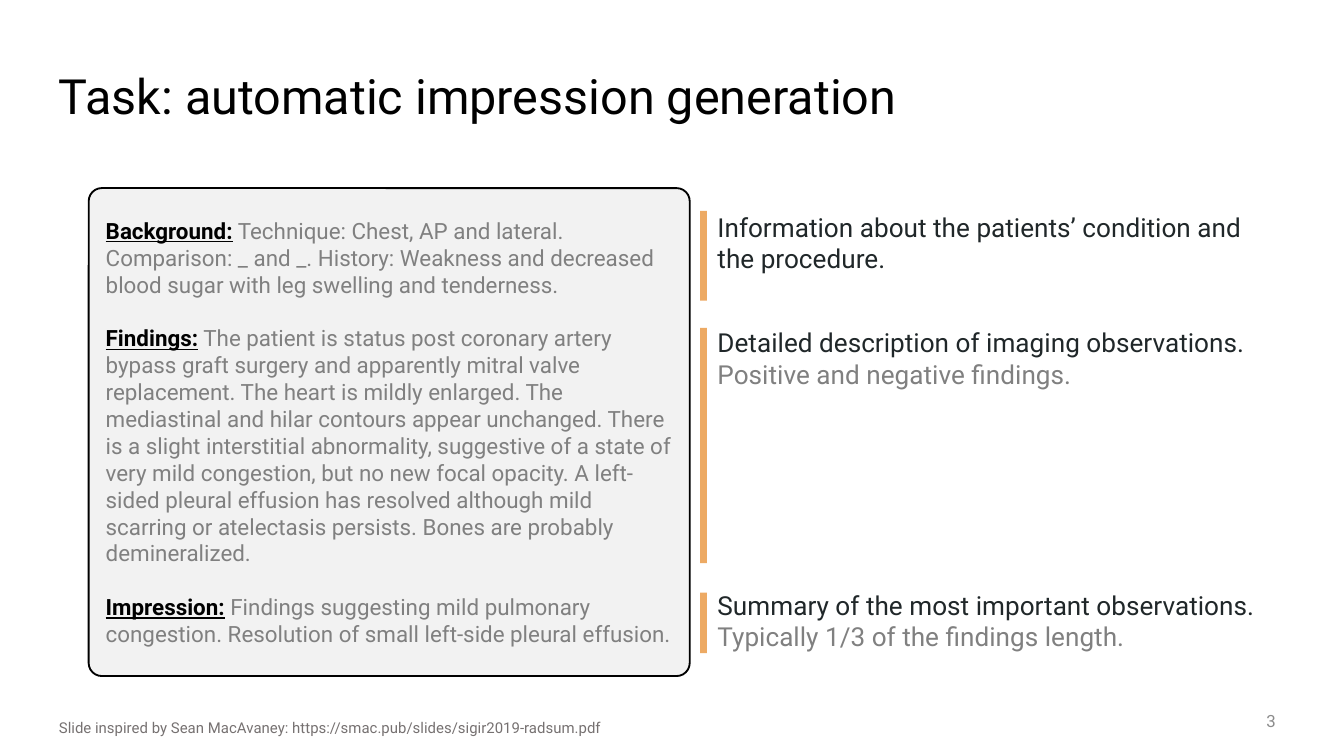
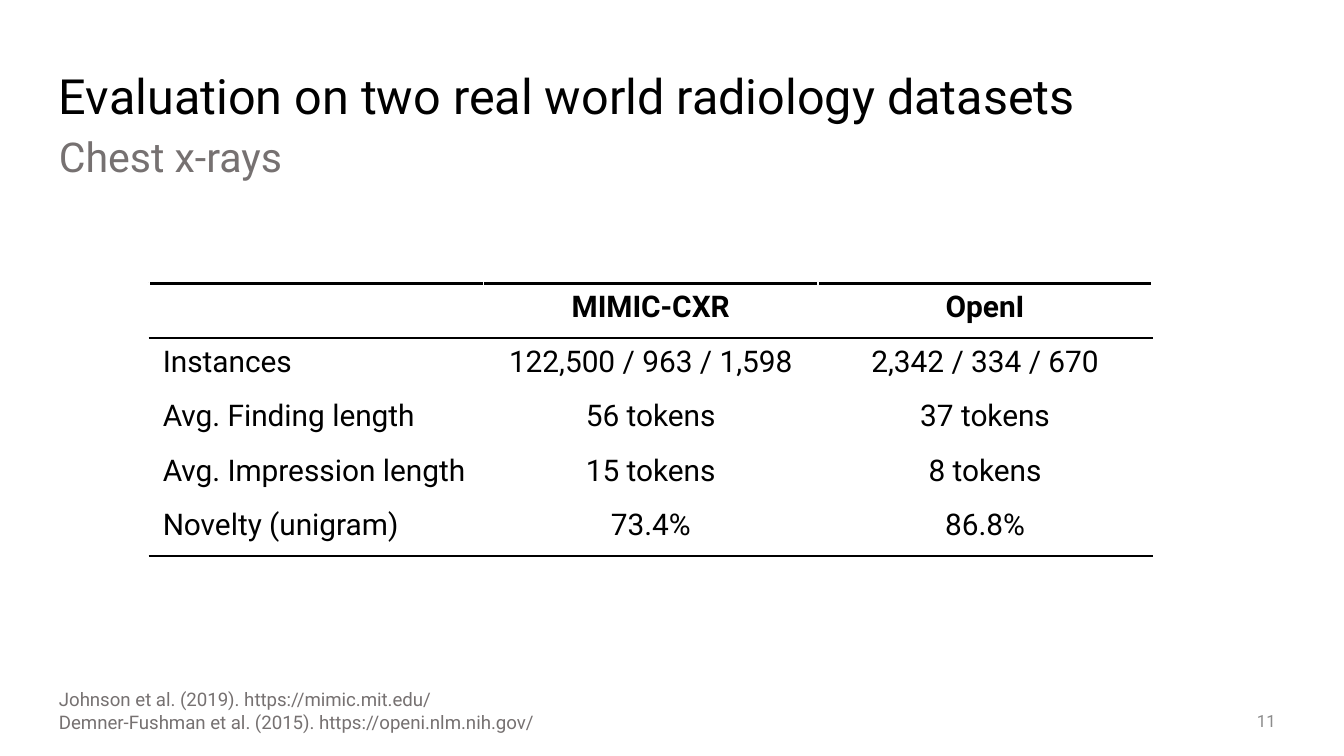
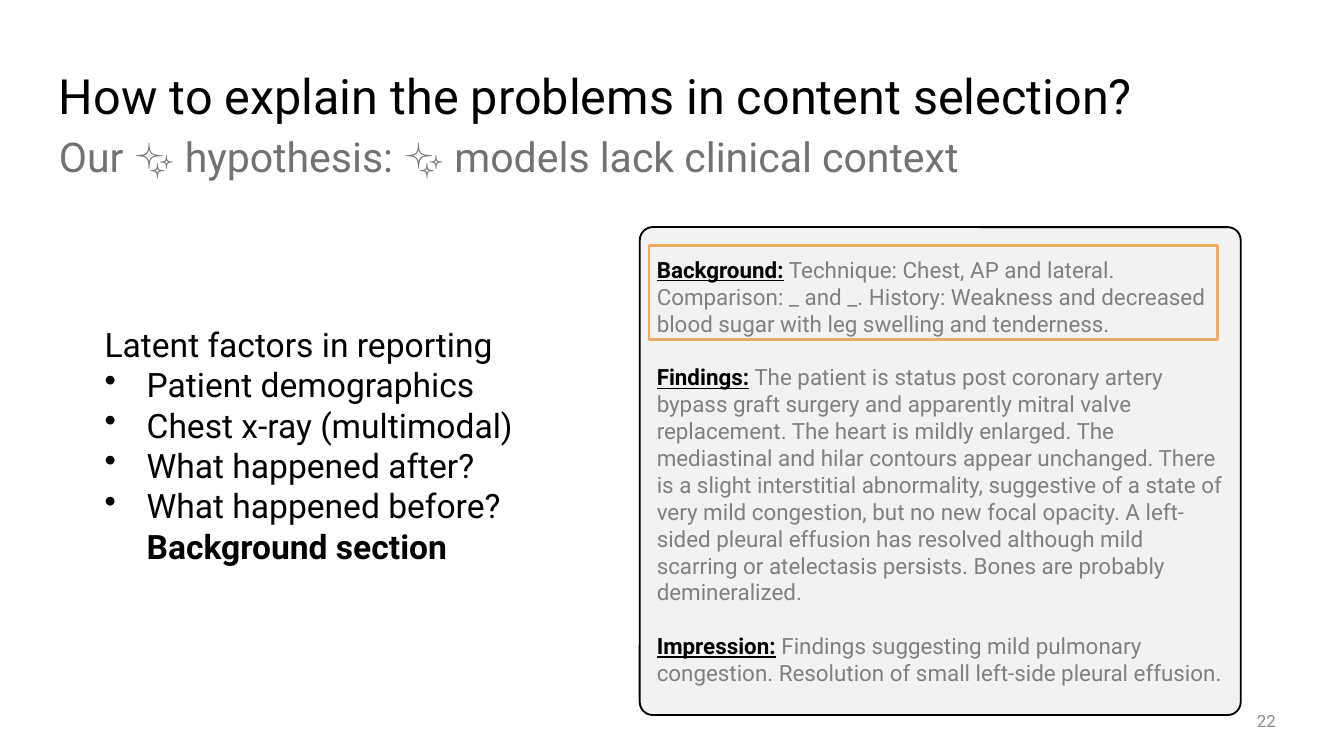
from lxml import etree
from pptx import Presentation
from pptx.dml.color import RGBColor
from pptx.enum.shapes import MSO_SHAPE
from pptx.enum.text import MSO_ANCHOR, PP_ALIGN
from pptx.oxml.ns import qn
from pptx.util import Pt

RECTANGLE = MSO_SHAPE.RECTANGLE
ROUNDED = MSO_SHAPE.ROUNDED_RECTANGLE
TOP, MIDDLE = MSO_ANCHOR.TOP, MSO_ANCHOR.MIDDLE
LEFT, CENTER, RIGHT = PP_ALIGN.LEFT, PP_ALIGN.CENTER, PP_ALIGN.RIGHT

FONT = "Roboto"
COLORS = {
    "black": "000000",
    "white": "FFFFFF",
    "ink": "202729",
    "muted": "808080",
    "caption": "767171",
    "number": "8C8C8C",
    "card": "F2F2F2",
    "accent": "EDAA64",
}

TITLE_BOX = (24.5, 35.3, 666, 32.4)
SUBTITLE_BOX = (24.5, 67, 666, 31.7)
NUMBER_BOX = (528.5, 375.1, 162, 21.6)
REPORT_SIZE = (322, 261.4)

REPORT = [
    ("Background:", "Technique: Chest, AP and lateral. Comparison: _ and _. History: "
     "Weakness and decreased blood sugar with leg swelling and tenderness."),
    ("Findings:", "The patient is status post coronary artery bypass graft surgery and "
     "apparently mitral valve replacement. The heart is mildly enlarged. The mediastinal "
     "and hilar contours appear unchanged. There is a slight interstitial abnormality, "
     "suggestive of a state of very mild congestion, but no new focal opacity. A left-sided "
     "pleural effusion has resolved although mild scarring or atelectasis persists. Bones "
     "are probably demineralized."),
    ("Impression:", "Findings suggesting mild pulmonary congestion. Resolution of small "
     "left-side pleural effusion."),
]

NOTES = [
    (113, 48.2, 0, [[("Information about the patients’ condition and the procedure.", "ink")]]),
    (175.7, 126, -0.7, [[("Detailed description of imaging observations. ", "ink"),
                         ("Positive and negative findings.", "muted")]]),
    (317.5, 32.4, -2, [[("Summary of the most important observations.", "ink")],
                       [("Typically 1/3 of the findings length.", "muted")]]),
]

DATASETS = [
    ("", "MIMIC-CXR", "OpenI"),
    ("Instances", "122,500 / 963 / 1,598", "2,342 / 334 / 670"),
    ("Avg. Finding length", "56 tokens", "37 tokens"),
    ("Avg. Impression length", "15 tokens", "8 tokens"),
    ("Novelty (unigram)", "73.4%", "86.8%"),
]

FACTORS = ["Patient demographics", "Chest x-ray (multimodal)", "What happened after?"]


def rgb(name):
    return RGBColor.from_string(COLORS[name])


def points(box):
    return [Pt(length) for length in box]


def add_run(paragraph, text, size, color, bold=False, underline=False):
    run = paragraph.add_run()
    run.text = text
    font = run.font
    font.name, font.size, font.bold = FONT, Pt(size), bold
    font.color.rgb = rgb(color)
    if underline:
        font.underline = True


def write(frame, paragraphs, size, align=LEFT, anchor=TOP, gap=0):
    frame.word_wrap = True
    frame.vertical_anchor = anchor
    for index, runs in enumerate(paragraphs):
        paragraph = frame.add_paragraph() if index else frame.paragraphs[0]
        paragraph.alignment = align
        if index and gap:
            paragraph.space_before = Pt(gap)
        for run in runs:
            add_run(paragraph, run[0], size, *run[1:])


def add_text(slide, box, paragraphs, size, **layout):
    frame = slide.shapes.add_textbox(*points(box)).text_frame
    write(frame, paragraphs, size, **layout)
    return frame


def add_block(slide, kind, box, fill=None, line=None, width=1):
    block = slide.shapes.add_shape(kind, *points(box))
    block.shadow.inherit = False
    if fill:
        block.fill.solid()
        block.fill.fore_color.rgb = rgb(fill)
    else:
        block.fill.background()
    if line:
        block.line.color.rgb = rgb(line)
        block.line.width = Pt(width)
    else:
        block.line.fill.background()
    return block


def add_page(deck, number, title, subtitle=None):
    slide = deck.slides.add_slide(deck.slide_layouts[6])
    heading = add_text(slide, TITLE_BOX, [[(title, "black")]], 26)
    heading.margin_bottom = 0
    heading.paragraphs[0].line_spacing = 0.9
    if subtitle:
        add_text(slide, SUBTITLE_BOX, [[(subtitle, "caption")]], 22)
    add_text(slide, NUMBER_BOX, [[(str(number), "number")]], 9, align=RIGHT, anchor=MIDDLE)
    return slide


def add_sources(slide, top, height, sources, size):
    add_text(slide, (24.5, top, 446.4, height), [[(source, "caption")] for source in sources], size)


def add_report(slide, left, top):
    card = add_block(slide, ROUNDED, (left, top, *REPORT_SIZE), "card", "black")
    card.adjustments[0] = 0.027
    sections = [[(heading, "black", True, True), (" " + body, "muted")] for heading, body in REPORT]
    write(card.text_frame, sections, 12, anchor=MIDDLE, gap=14.4)


def add_notes(slide, left):
    for top, height, text_shift, paragraphs in NOTES:
        add_block(slide, RECTANGLE, (left, top, 3.6, height), "accent")
        note = add_text(slide, (left + 2.2, top + text_shift, 302.4, 37), paragraphs, 14)
        note.margin_top = 0


def add_rule(cell, side, color, width):
    rule = etree.SubElement(cell._tc.get_or_add_tcPr(), qn("a:" + side), w=str(Pt(width)))
    fill = etree.SubElement(rule, qn("a:solidFill"))
    etree.SubElement(fill, qn("a:srgbClr"), val=COLORS[color])


def add_dataset_table(slide, box):
    rows, columns = len(DATASETS), len(DATASETS[0])
    table = slide.shapes.add_table(rows, columns, *points(box)).table
    table.first_row = table.horz_banding = False
    rules = [("black", 1.5), ("black", 1)] + [("white", 1)] * (rows - 2) + [("black", 1.5)]
    for r, values in enumerate(DATASETS):
        table.rows[r].height = Pt(box[3] / rows)
        for c, value in enumerate(values):
            cell = table.cell(r, c)
            add_rule(cell, "lnL", "white", 1)
            add_rule(cell, "lnR", "white", 1)
            add_rule(cell, "lnT", *rules[r])
            add_rule(cell, "lnB", *rules[r + 1])
            cell.fill.solid()
            cell.fill.fore_color.rgb = rgb("white")
            runs = [(value, "black", r == 0)] if value else []
            write(cell.text_frame, [runs], 16, align=CENTER if c else LEFT)


def add_factors(slide, box):
    paragraphs = [[("Latent factors in reporting", "black")]]
    paragraphs += [[(factor, "black")] for factor in FACTORS]
    paragraphs.append([("What happened before? ", "black"), ("Background section", "black", True)])
    frame = add_text(slide, box, paragraphs, 18)
    for paragraph in frame.paragraphs[1:]:
        properties = paragraph._p.get_or_add_pPr()
        properties.set("marL", str(Pt(22.5)))
        properties.set("indent", str(Pt(-22.5)))
        etree.SubElement(properties, qn("a:buChar"), char="•")


def build_task(deck):
    slide = add_page(deck, 3, "Task: automatic impression generation")
    add_sources(slide, 381.6, 15.1, [
        "Slide inspired by Sean MacAvaney: https://smac.pub/slides/sigir2019-radsum.pdf"], 8)
    add_report(slide, 47.5, 100.8)
    add_notes(slide, 375.1)


def build_evaluation(deck):
    slide = add_page(deck, 11, "Evaluation on two real world radiology datasets", "Chest x-rays")
    add_sources(slide, 365, 26, [
        "Johnson et al. (2019). https://mimic.mit.edu/",
        "Demner-Fushman et al. (2015). https://openi.nlm.nih.gov/"], 10)
    add_dataset_table(slide, (80, 151.9, 537.3, 146))


def build_hypothesis(deck):
    slide = add_page(deck, 22, "How to explain the problems in content selection?",
                     "Our ✨ hypothesis: ✨ models lack clinical context")
    add_factors(slide, (49, 170, 256.3, 138.2))
    left, top = 342.7, 121.7
    add_report(slide, left, top)
    add_block(slide, RECTANGLE, (left + 5, top + 10, 304.6, 50.4), line="accent", width=1.5)


def main():
    deck = Presentation()
    deck.slide_width, deck.slide_height = Pt(720), Pt(405)
    build_task(deck)
    build_evaluation(deck)
    build_hypothesis(deck)
    deck.save("out.pptx")


if __name__ == "__main__":
    main()
